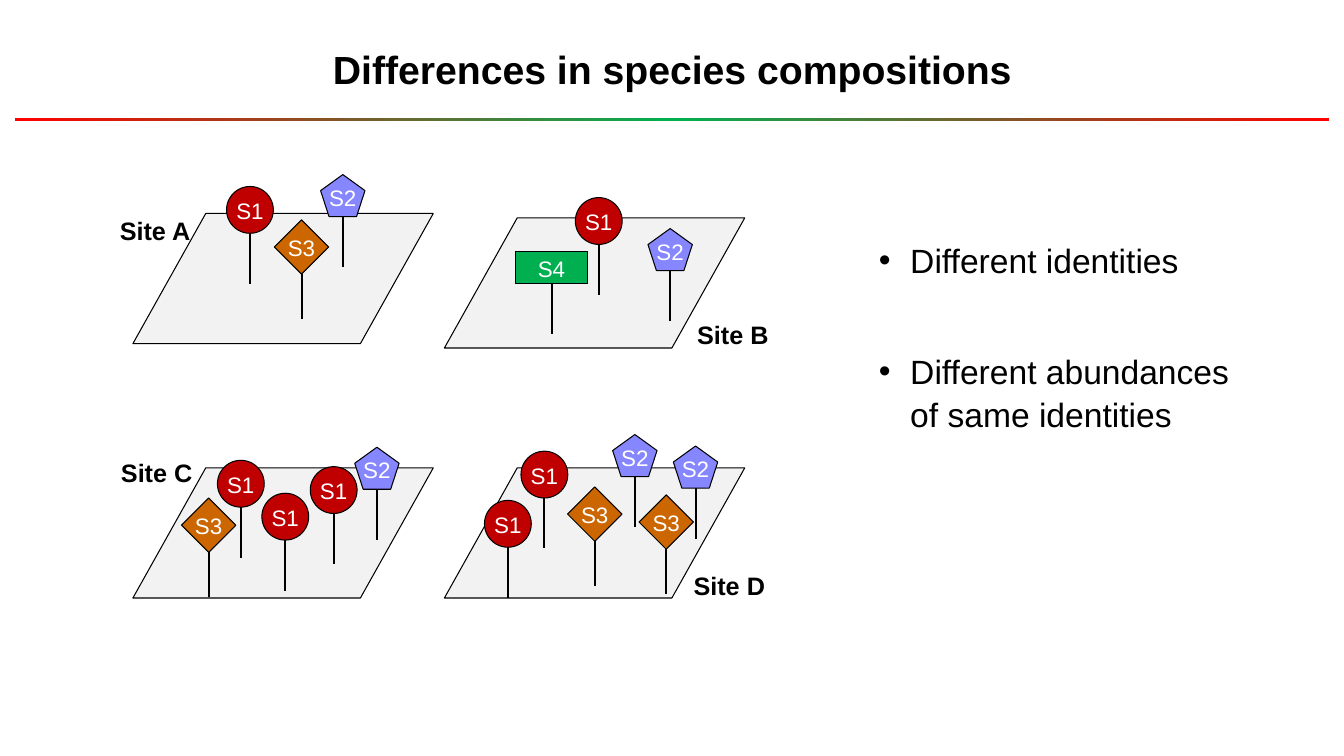
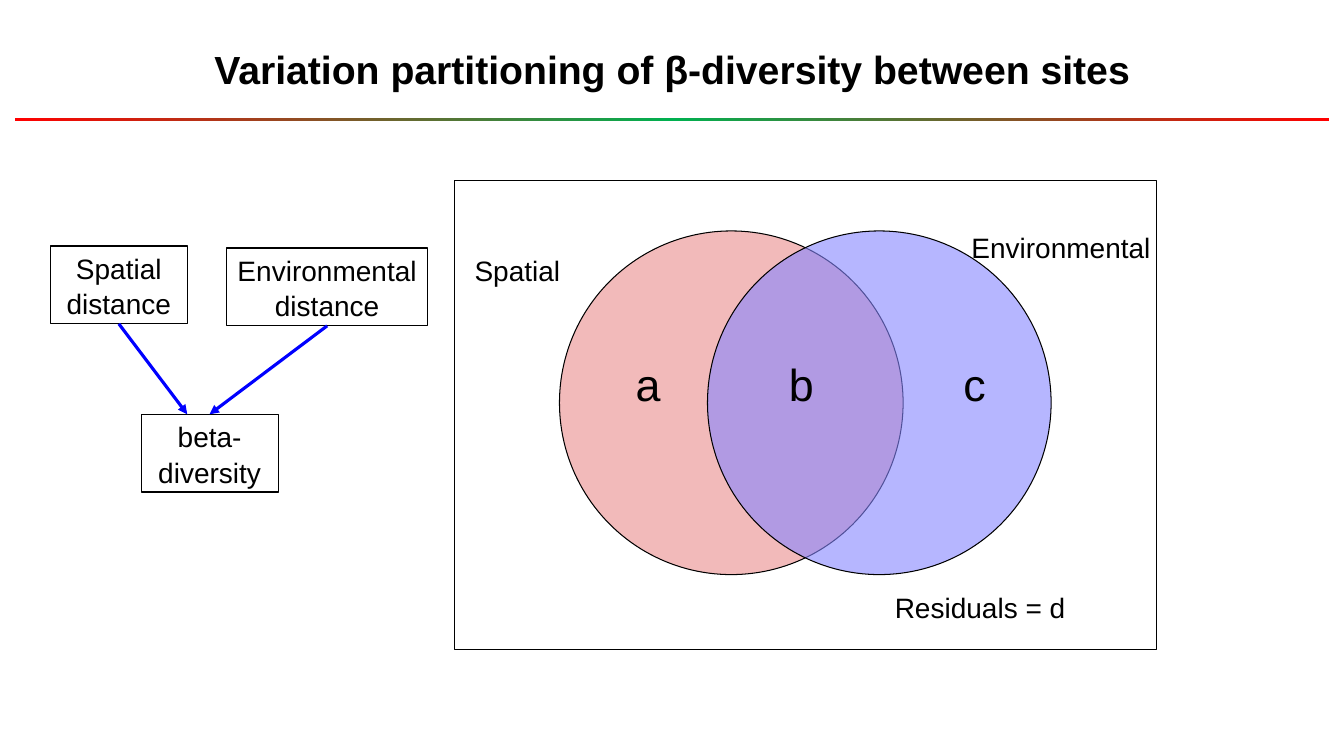
"""Build two slides on species composition and variation partitioning."""
import lxml.etree
import pptx
import pptx.dml.color
import pptx.enum.shapes
import pptx.enum.text
import pptx.oxml.ns
import pptx.shapes.connector
import pptx.util

Cm = pptx.util.Cm
Pt = pptx.util.Pt
RGBColor = pptx.dml.color.RGBColor
MSO_SHAPE = pptx.enum.shapes.MSO_SHAPE
STRAIGHT = pptx.enum.shapes.MSO_CONNECTOR.STRAIGHT
PP_ALIGN = pptx.enum.text.PP_ALIGN
MSO_ANCHOR = pptx.enum.text.MSO_ANCHOR
SubElement = lxml.etree.SubElement
qn = pptx.oxml.ns.qn

BLACK = RGBColor(0x00, 0x00, 0x00)
WHITE = RGBColor(0xFF, 0xFF, 0xFF)
RED = RGBColor(0xFF, 0x00, 0x00)
GREEN = RGBColor(0x00, 0xB0, 0x50)
BLUE = RGBColor(0x00, 0x00, 0xFF)
GREY = RGBColor(0xF2, 0xF2, 0xF2)
DARK_RED = RGBColor(0xC0, 0x00, 0x00)
PERIWINKLE = RGBColor(0x86, 0x86, 0xFF)
ORANGE = RGBColor(0xCC, 0x66, 0x00)
PINK = RGBColor(0xEA, 0x8C, 0x8C)


def write(tf, text, size=20, color=BLACK, bold=False, align=PP_ALIGN.LEFT,
          anchor=MSO_ANCHOR.TOP, wrap=True, bullet=False, gap=0):
    """Write each line of the text as one formatted paragraph."""
    tf.word_wrap = wrap
    tf.vertical_anchor = anchor
    for i, line in enumerate(text.split("\n")):
        p = tf.add_paragraph() if i else tf.paragraphs[0]
        p.alignment = align
        p.line_spacing = 1.06
        if i:
            p.space_before = Pt(gap)
        if bullet:
            pPr = p._p.get_or_add_pPr()
            pPr.set("marL", str(Cm(0.79)))
            pPr.set("indent", str(-Cm(0.79)))
            SubElement(pPr, qn("a:buFont"), typeface="Arial")
            SubElement(pPr, qn("a:buChar"), char="•")
        r = p.add_run()
        r.text = line
        r.font.name = "Arial"
        r.font.size = Pt(size)
        r.font.bold = bold
        r.font.color.rgb = color


def outlined(s, kind, left, top, width, height, fill=None):
    """Add a preset shape with a thin black outline."""
    sp = s.shapes.add_shape(kind, Cm(left), Cm(top), Cm(width), Cm(height))
    sp.shadow.inherit = False
    sp.line.color.rgb = BLACK
    sp.line.width = Pt(0.75)
    if fill is None:
        sp.fill.background()
    else:
        sp.fill.solid()
        sp.fill.fore_color.rgb = fill
    return sp


prs = pptx.Presentation()
prs.slide_width = Cm(33.87)
prs.slide_height = Cm(19.05)
layout = prs.slide_layouts[5]
title = layout.placeholders[0]
title.left, title.top, title.width, title.height = Cm(1.7), Cm(0.33), Cm(30.48), Cm(2.72)

species = prs.slides.add_slide(layout)
partition = prs.slides.add_slide(layout)

band = species.shapes.add_shape(MSO_SHAPE.RECTANGLE, Cm(0.38), Cm(2.98), Cm(33.12), Cm(0.08))
band.shadow.inherit = False
band.line.fill.background()
band.fill.gradient()
band.fill.gradient_angle = 0
stops = band.element.find(".//" + qn("a:gsLst"))
for stop in list(stops):
    stops.remove(stop)
for position, color in [(0, RED), (50000, GREEN), (100000, RED)]:
    stop = SubElement(stops, qn("a:gs"), pos=str(position))
    SubElement(stop, qn("a:srgbClr"), val=str(color))
band.element.find(".//" + qn("p:cNvPr")).set("id", "20")
layout.shapes.element.append(band.element)

for s, text in [(species, "Differences in species compositions"),
                (partition, "Variation partitioning of β-diversity between sites")]:
    write(s.shapes.title.text_frame, text, size=28, bold=True,
          align=PP_ALIGN.CENTER, anchor=MSO_ANCHOR.MIDDLE)

s = species
for left, top in [(3.35, 5.38), (11.2, 5.49), (3.35, 11.79), (11.2, 11.79)]:
    sp = outlined(s, MSO_SHAPE.PARALLELOGRAM, left, top, 7.57, 3.28, GREY)
    sp.adjustments[0] = 0.56

SPECIES = {
    "S1": (MSO_SHAPE.OVAL, DARK_RED, 1.18, 1.18, 1.27, 0),
    "S2": (MSO_SHAPE.REGULAR_PENTAGON, PERIWINKLE, 1.12, 1.06, 1.27, 0.2),
    "S3": (MSO_SHAPE.DIAMOND, ORANGE, 1.37, 1.37, 1.12, 0),
    "S4": (MSO_SHAPE.RECTANGLE, GREEN, 1.82, 0.8, 1.27, 0),
}
PLANTS = [
    ("S1", 6.3, 4.7), ("S2", 8.64, 4.4), ("S3", 7.6, 5.54),
    ("S4", 13.9, 6.34), ("S1", 15.09, 4.98), ("S2", 16.89, 5.76),
    ("S1", 6.07, 11.6), ("S3", 5.26, 12.55), ("S2", 9.5, 11.27),
    ("S1", 7.19, 12.43), ("S1", 8.41, 11.76),
    ("S1", 13.72, 11.37), ("S2", 16, 10.95), ("S3", 14.99, 12.27),
    ("S1", 12.8, 12.61), ("S2", 17.53, 11.24), ("S3", 16.79, 12.47),
]
for name, center, top in PLANTS:
    kind, color, width, height, stem, lift = SPECIES[name]
    foot = top + height
    cx = s.shapes.add_connector(STRAIGHT, Cm(center), Cm(foot), Cm(center), Cm(foot + stem))
    cx.line.color.rgb = BLACK
    cx.line.width = Pt(1.5)
    sp = outlined(s, kind, center - width / 2, top, width, height, color)
    tf = sp.text_frame
    tf.margin_left = tf.margin_right = tf.margin_top = 0
    tf.margin_bottom = Cm(lift)
    write(tf, name, size=16, color=WHITE, align=PP_ALIGN.CENTER,
          anchor=MSO_ANCHOR.MIDDLE, wrap=False)

for text, left, top in [("Site A", 2.77, 5.26), ("Site B", 17.32, 7.87),
                        ("Site C", 2.8, 11.35), ("Site D", 17.23, 14.2)]:
    tb = s.shapes.add_textbox(Cm(left), Cm(top), Cm(2.32), Cm(1.02))
    write(tb.text_frame, text, size=18, bold=True, wrap=False)

tb = s.shapes.add_textbox(Cm(21.9), Cm(5.85), Cm(10.16), Cm(5.2))
write(tb.text_frame, "Different identities\nDifferent abundances of same identities",
      size=24, bullet=True, gap=49)

s = partition
outlined(s, MSO_SHAPE.RECTANGLE, 11.46, 4.55, 17.68, 11.81)
for left, color in [(14.1, PINK), (17.83, PERIWINKLE)]:
    sp = outlined(s, MSO_SHAPE.OVAL, left, 5.82, 8.66, 8.66, color)
    srgb = sp.element.spPr.find(qn("a:solidFill")).find(qn("a:srgbClr"))
    SubElement(srgb, qn("a:alpha"), val="60000")

for text, size, left, top, width, height in [
    ("Spatial", 20, 11.71, 6.22, 3.45, 1.42),
    ("Environmental", 20, 24.23, 5.64, 6.48, 1.42),
    ("a", 32, 15.77, 8.79, 1.47, 2.08),
    ("b", 32, 19.63, 8.79, 1.47, 2.08),
    ("c", 32, 24.03, 8.79, 1.47, 2.08),
    ("Residuals = d", 20, 22.3, 14.71, 6.2, 1.42),
]:
    tb = s.shapes.add_textbox(Cm(left), Cm(top), Cm(width), Cm(height))
    write(tb.text_frame, text, size=size)

boxes = []
for text, left, top, width in [("Spatial distance", 1.27, 6.2, 3.45),
                               ("Environmental distance", 5.72, 6.25, 5.05),
                               ("beta-diversity", 3.56, 10.44, 3.45)]:
    sp = outlined(s, MSO_SHAPE.RECTANGLE, left, top, width, 1.96)
    tf = sp.text_frame
    tf.margin_left = tf.margin_right = Cm(0.2)
    write(tf, text, align=PP_ALIGN.CENTER, anchor=MSO_ANCHOR.MIDDLE)
    boxes.append(sp)

for box, end in zip(boxes, [4.72, 5.28]):
    cx = s.shapes.add_connector(STRAIGHT, 0, 0, Cm(end), boxes[2].top)
    cx.begin_connect(box, 2)
    cx.line.color.rgb = BLUE
    cx.line.width = Pt(2.25)
    SubElement(cx.element.spPr.find(qn("a:ln")), qn("a:tailEnd"), type="triangle")

for s in prs.slides:
    for sp in s.shapes:
        if isinstance(sp, pptx.shapes.connector.Connector):
            SubElement(sp.element.spPr, qn("a:effectLst"))

prs.save("out.pptx")
